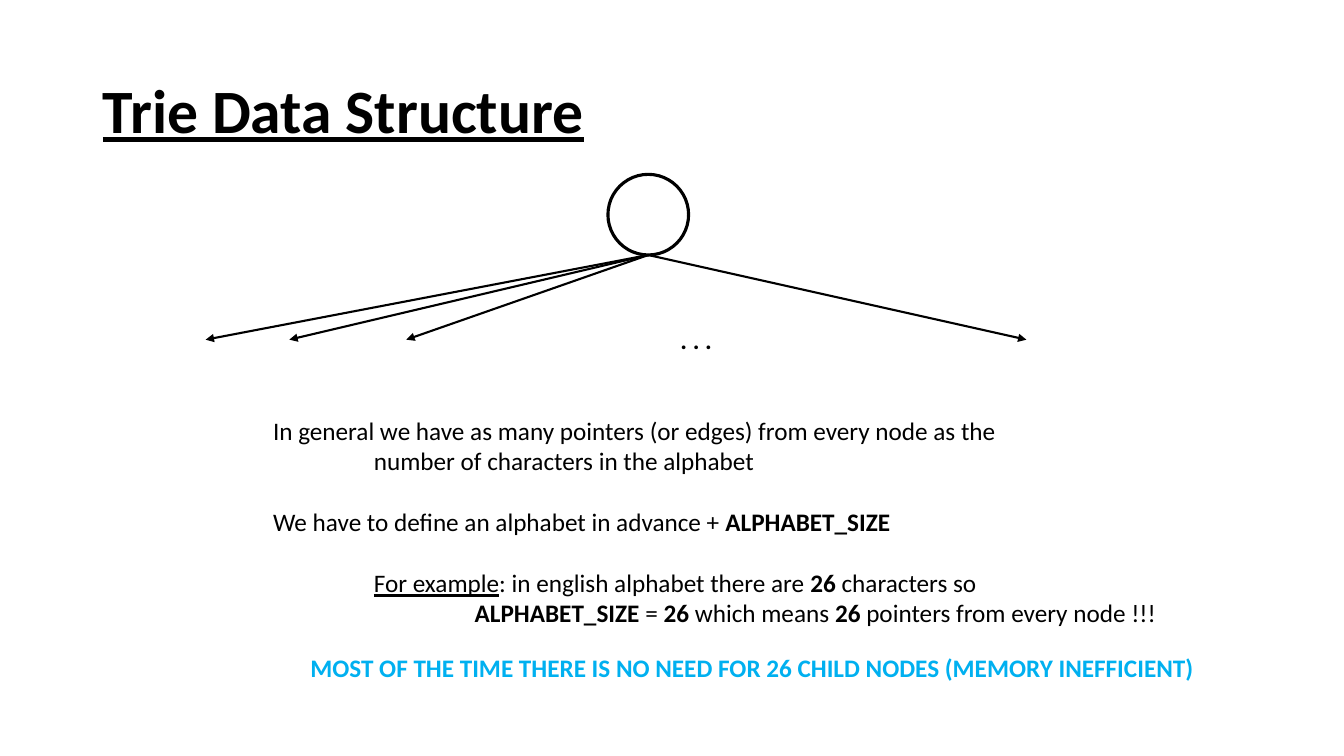
import pptx
import pptx.dml.color
import pptx.enum.shapes
import pptx.enum.text
import pptx.oxml
import pptx.oxml.ns
import pptx.util

Inches = pptx.util.Inches
Pt = pptx.util.Pt
BLACK = pptx.dml.color.RGBColor(0x00, 0x00, 0x00)
WHITE = pptx.dml.color.RGBColor(0xFF, 0xFF, 0xFF)
BLUE = pptx.dml.color.RGBColor(0x00, 0xB0, 0xF0)


def add_box(left, top, width, height, wrap):
    box = page.shapes.add_textbox(Inches(left), Inches(top), Inches(width), Inches(height))
    box.text_frame.word_wrap = wrap
    return box.text_frame


def add_span(para, text, style="", size=18, color=BLACK):
    span = para.add_run()
    span.text = text
    span.font.name = "Calibri"
    span.font.size = Pt(size)
    span.font.color.rgb = color
    span.font.bold = "b" in style
    span.font.underline = "u" in style


deck = pptx.Presentation()
deck.slide_width = Inches(13.33)
deck.slide_height = Inches(7.5)
page = deck.slides.add_slide(deck.slide_layouts[5])

# Title
title = page.shapes.title
title.left, title.top = Inches(0.92), Inches(0.4)
title.width, title.height = Inches(11.5), Inches(1.45)
title.text_frame.vertical_anchor = pptx.enum.text.MSO_ANCHOR.MIDDLE
title.text_frame.word_wrap = True
heading = title.text_frame.paragraphs[0]
heading.alignment = pptx.enum.text.PP_ALIGN.LEFT
heading.line_spacing = 0.9
add_span(heading, "Trie Data Structure", "bu", 44)

# Root node
NODE_LEFT, NODE_TOP, NODE_SIZE = 6.03, 1.73, 0.8
node = page.shapes.add_shape(
    pptx.enum.shapes.MSO_SHAPE.OVAL,
    Inches(NODE_LEFT), Inches(NODE_TOP), Inches(NODE_SIZE), Inches(NODE_SIZE))
node.shadow.inherit = False
node.fill.solid()
node.fill.fore_color.rgb = WHITE
node.line.color.rgb = BLACK
node.line.width = Pt(2.25)

# Pointers fan out from the bottom of the node to one level
POINTER_END = 3.37
for end_x in (2.04, 4.03, 2.87, 10.18):
    pointer = page.shapes.add_connector(
        pptx.enum.shapes.MSO_CONNECTOR.STRAIGHT,
        Inches(NODE_LEFT + NODE_SIZE / 2), Inches(NODE_TOP + NODE_SIZE),
        Inches(end_x), Inches(POINTER_END))
    pointer.line.color.rgb = BLACK
    pointer.line.width = Pt(1.5)
    arrowhead = pptx.oxml.parse_xml(
        '<a:tailEnd %s type="triangle"/>' % pptx.oxml.ns.nsdecls("a"))
    pointer.line._get_or_add_ln().append(arrowhead)
    no_shadow = pptx.oxml.parse_xml("<a:effectLst %s/>" % pptx.oxml.ns.nsdecls("a"))
    pointer._element.spPr.append(no_shadow)

dots = add_box(6.65, 3.17, 0.55, 0.4, False)
add_span(dots.paragraphs[0], ". . .", "b")

# Explanation: indent in inches, space before in points, spans with styles
LINE_GAP = 22
explanation = [
    (0, 0, [("In general we have as many pointers (or edges) from every node as the", "")]),
    (1, 0, [("number of characters in the alphabet", "")]),
    (0, LINE_GAP, [("We have to define an alphabet in advance + ", ""), ("ALPHABET_SIZE", "b")]),
    (1, LINE_GAP, [("For example", "u"), (": in english alphabet there are ", ""),
                   ("26", "b"), (" characters so", "")]),
    (2, 0, [("ALPHABET_SIZE", "b"), (" = ", ""), ("26 ", "b"), ("which means ", ""),
            ("26", "b"), (" pointers from every node !!!", "")]),
]
body = add_box(2.61, 4.07, 9.06, 2.83, True)
for number, (indent, gap, spans) in enumerate(explanation):
    para = body.add_paragraph() if number else body.paragraphs[0]
    para._p.get_or_add_pPr().set("marL", str(Inches(indent)))
    para.space_before = Pt(gap)
    for text, style in spans:
        add_span(para, text, style)

# Warning
warning = add_box(2.98, 6.42, 8.97, 0.4, False)
add_span(warning.paragraphs[0],
         "MOST OF THE TIME THERE IS NO NEED FOR 26 CHILD NODES (MEMORY INEFFICIENT)",
         "b", color=BLUE)

deck.save("out.pptx")
